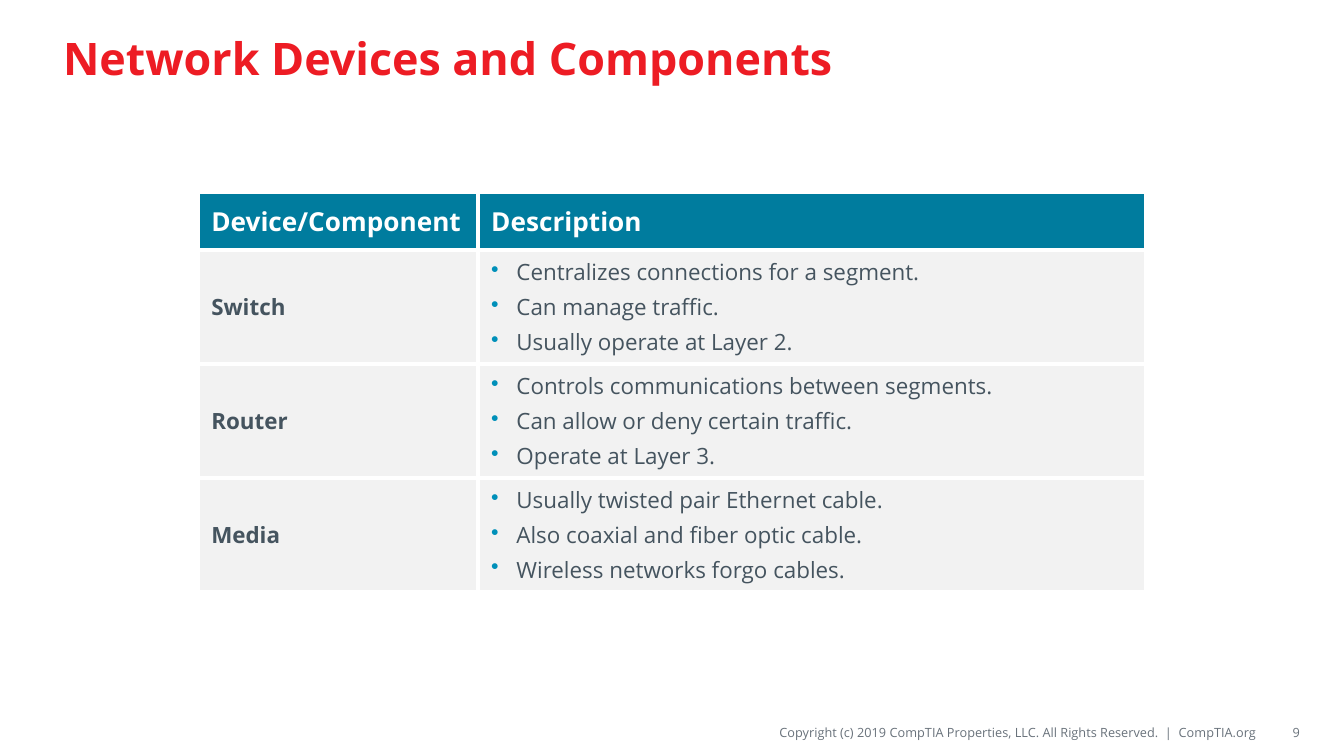
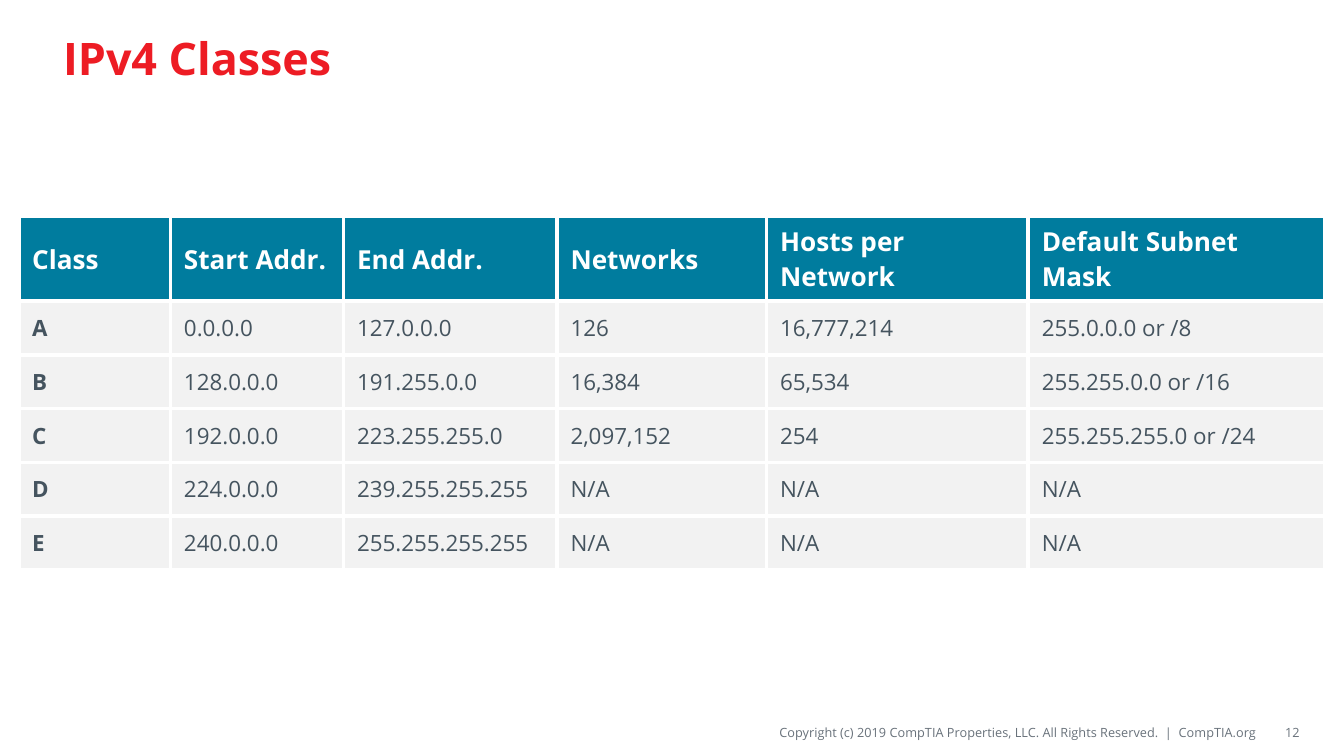
from dataclasses import dataclass

from lxml.etree import SubElement
from pptx import Presentation
from pptx.dml.color import RGBColor
from pptx.enum.text import MSO_ANCHOR as Anchor, MSO_AUTO_SIZE as AutoSize, PP_ALIGN as Align
from pptx.oxml.ns import qn
from pptx.util import Pt

FOOTER = "Copyright (c) 2019 CompTIA Properties, LLC. All Rights Reserved.  |  CompTIA.org"

# A list in a cell becomes bullets; a string becomes plain text.
SLIDES = [
    {
        "title": "Network Devices and Components",
        "number": "9",
        "top": 103,
        "columns": [150, 358],
        "header_height": 31,
        "row_height": 61,
        "rows": [
            ("Device/Component", "Description"),
            ("Switch", ["Centralizes connections for a segment.",
                        "Can manage traffic.",
                        "Usually operate at Layer 2."]),
            ("Router", ["Controls communications between segments.",
                        "Can allow or deny certain traffic.",
                        "Operate at Layer 3."]),
            ("Media", ["Usually twisted pair Ethernet cable.",
                       "Also coaxial and fiber optic cable.",
                       "Wireless networks forgo cables."]),
        ],
    },
    {
        "title": "IPv4 Classes",
        "number": "12",
        "top": 116,
        "columns": [81.3, 92.7, 114.4, 112.3, 140.2, 159],
        "header_height": 45.3,
        "row_height": 28.8,
        "rows": [
            ("Class", "Start Addr.", "End Addr.", "Networks",
             "Hosts per Network", "Default Subnet Mask"),
            ("A", "0.0.0.0", "127.0.0.0", "126", "16,777,214", "255.0.0.0 or /8"),
            ("B", "128.0.0.0", "191.255.0.0", "16,384", "65,534", "255.255.0.0 or /16"),
            ("C", "192.0.0.0", "223.255.255.0", "2,097,152", "254", "255.255.255.0 or /24"),
            ("D", "224.0.0.0", "239.255.255.255", "N/A", "N/A", "N/A"),
            ("E", "240.0.0.0", "255.255.255.255", "N/A", "N/A", "N/A"),
        ],
    },
]


@dataclass(frozen=True)
class Theme:
    font: str = "Open Sans"
    title: str = "ED1C24"
    header: str = "007C9E"
    body: str = "F2F2F2"
    text: str = "45545F"
    footer: str = "69727B"
    bullet: str = "0090B9"
    white: str = "FFFFFF"
    title_size: float = 24
    header_size: float = 14
    body_size: float = 12
    footer_size: float = 6.8
    border: float = 2.25
    bullet_indent: float = 13.5


THEME = Theme()
PAGE_WIDTH, PAGE_HEIGHT = 720, 405
TITLE_AREA = (26.6, 5.8, 666, 49.7)
FOOTER_AREA = (279.4, 384.5, 393.8, 15.8)
NUMBER_AREA = (675.4, 384.5, 20.9, 15.8)


def add_bullet(para):
    properties = para._p.get_or_add_pPr()
    indent = Pt(THEME.bullet_indent)
    properties.set("marL", str(indent))
    properties.set("indent", str(-indent))
    color = SubElement(properties, qn("a:buClr"))
    SubElement(color, qn("a:srgbClr"), val=THEME.bullet)
    SubElement(properties, qn("a:buChar"), char="•")


def write(frame, text, size, color, bold=False, align=Align.LEFT):
    """Fill a text frame; a list of lines becomes spaced bullets."""
    bulleted = isinstance(text, list)
    for index, line in enumerate(text if bulleted else [text]):
        para = frame.add_paragraph() if index else frame.paragraphs[0]
        para.alignment = align
        para.space_before = Pt(0.2 * size if index else 0)
        if bulleted:
            add_bullet(para)
        span = para.add_run()
        span.text = line
        span.font.name = THEME.font
        span.font.size = Pt(size)
        span.font.bold = bold
        span.font.color.rgb = RGBColor.from_string(color)


def add_title(page, text):
    box = page.shapes.title
    box.left, box.top, box.width, box.height = map(Pt, TITLE_AREA)
    frame = box.text_frame
    frame.auto_size = AutoSize.NONE
    frame.vertical_anchor = Anchor.MIDDLE
    write(frame, text, THEME.title_size, THEME.title, bold=True)


def add_footer_text(page, text, area, left_inset=0):
    frame = page.shapes.add_textbox(*map(Pt, area)).text_frame
    frame.word_wrap = True
    frame.vertical_anchor = Anchor.MIDDLE
    frame.margin_left, frame.margin_right = Pt(left_inset), 0
    frame.margin_top = frame.margin_bottom = Pt(3)
    write(frame, text, THEME.footer_size, THEME.footer, align=Align.RIGHT)


def add_borders(cell):
    properties = cell._tc.get_or_add_tcPr()
    for side in ("L", "R", "T", "B"):
        line = SubElement(properties, qn(f"a:ln{side}"), w=str(Pt(THEME.border)))
        fill = SubElement(line, qn("a:solidFill"))
        SubElement(fill, qn("a:srgbClr"), val=THEME.white)


def add_grid(page, content):
    """Add the table, centred across the page."""
    rows, columns = content["rows"], content["columns"]
    heights = [content["header_height"]] + [content["row_height"]] * (len(rows) - 1)
    width = sum(columns)
    table = page.shapes.add_table(
        len(rows), len(columns), Pt((PAGE_WIDTH - width) / 2), Pt(content["top"]),
        Pt(width), Pt(sum(heights))).table
    table.horz_banding = False
    for column, column_width in zip(table.columns, columns):
        column.width = Pt(column_width)
    for r, values in enumerate(rows):
        table.rows[r].height = Pt(heights[r])
        is_header = r == 0
        for c, value in enumerate(values):
            cell = table.cell(r, c)
            cell.vertical_anchor = Anchor.MIDDLE
            add_borders(cell)
            cell.fill.solid()
            cell.fill.fore_color.rgb = RGBColor.from_string(
                THEME.header if is_header else THEME.body)
            write(cell.text_frame, value,
                  THEME.header_size if is_header else THEME.body_size,
                  THEME.white if is_header else THEME.text,
                  bold=is_header or c == 0)


def main():
    deck = Presentation()
    deck.slide_width, deck.slide_height = Pt(PAGE_WIDTH), Pt(PAGE_HEIGHT)
    title_only = deck.slide_layouts.get_by_name("Title Only")
    for content in SLIDES:
        page = deck.slides.add_slide(title_only)
        add_footer_text(page, FOOTER, FOOTER_AREA)
        add_title(page, content["title"])
        add_footer_text(page, content["number"], NUMBER_AREA, left_inset=7.2)
        add_grid(page, content)
    deck.save("out.pptx")


if __name__ == "__main__":
    main()
